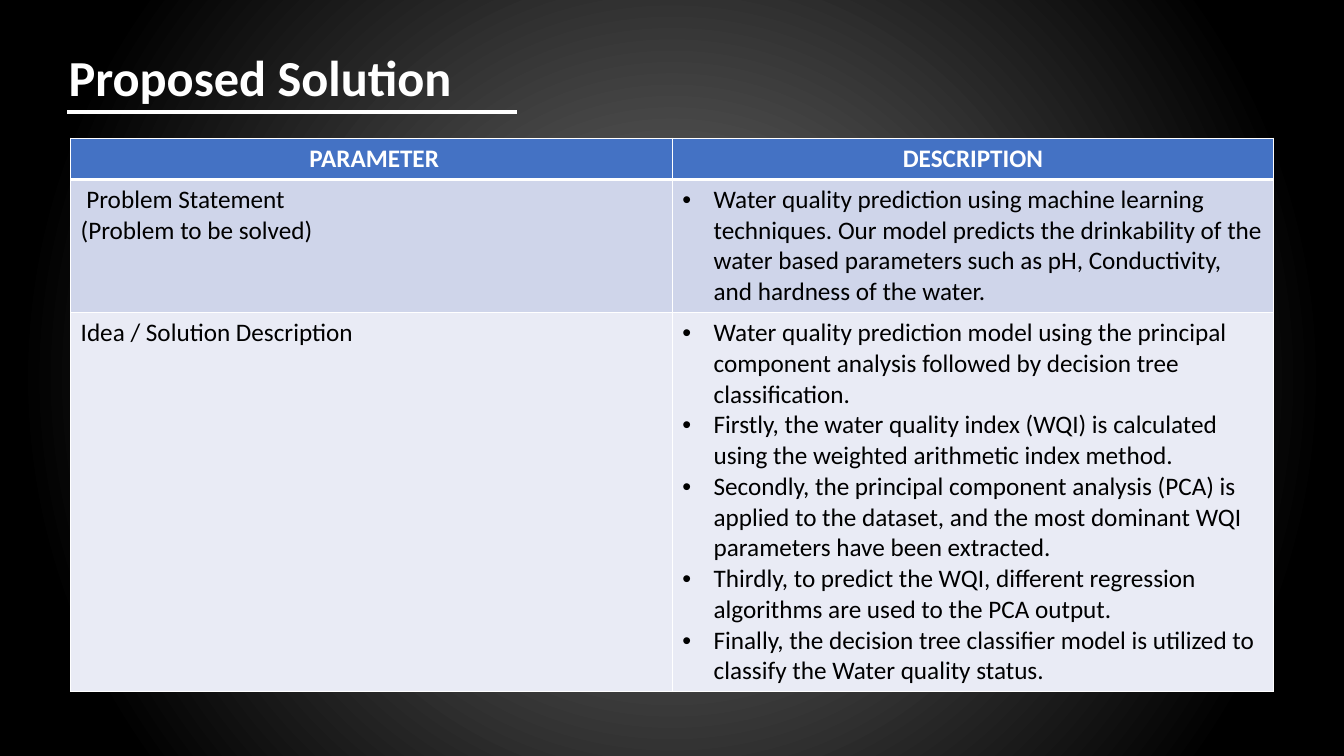
from lxml import etree
from pptx import Presentation
from pptx.dml.color import RGBColor
from pptx.enum.shapes import MSO_CONNECTOR
from pptx.enum.text import MSO_AUTO_SIZE, PP_ALIGN
from pptx.oxml import parse_xml
from pptx.oxml.ns import nsdecls, qn
from pptx.util import Cm, Pt

LINE = MSO_CONNECTOR.STRAIGHT
CENTER = PP_ALIGN.CENTER
LEFT = PP_ALIGN.LEFT
GROW = MSO_AUTO_SIZE.SHAPE_TO_FIT_TEXT
WHITE = "FFFFFF"
BLACK = "000000"


def color(code):
    return RGBColor.from_string(code)


def style(para, size, code, bold):
    font = para.font
    font.name = "Calibri"
    font.size = Pt(size)
    font.bold = bold
    font.color.rgb = color(code)


deck = Presentation()
deck.slide_width = Cm(33.87)
deck.slide_height = Cm(19.05)
slide = deck.slides.add_slide(deck.slide_layouts[6])

back = parse_xml(
    f'<p:bg {nsdecls("p", "a")}><p:bgPr><a:gradFill rotWithShape="1"><a:gsLst>'
    '<a:gs pos="19000"><a:srgbClr val="595959"/></a:gs>'
    '<a:gs pos="85000"><a:srgbClr val="000000"/></a:gs></a:gsLst>'
    '<a:path path="circle"><a:fillToRect l="50000" t="50000" r="50000" b="50000"/></a:path>'
    '</a:gradFill><a:effectLst/></p:bgPr></p:bg>'
)
slide.element.cSld.insert(0, back)

rows = [
    ([" PARAMETER"], ["DESCRIPTION"]),
    (
        [" Problem Statement", "(Problem to be solved)"],
        ["Water quality prediction using machine learning techniques. Our model predicts the drinkability of the water based parameters such as pH, Conductivity, and hardness of the water."],
    ),
    (
        ["Idea / Solution Description"],
        [
            "Water quality prediction model using the principal component analysis followed by decision tree classification.",
            "Firstly, the water quality index (WQI) is calculated using the weighted arithmetic index method.",
            "Secondly, the principal component analysis (PCA) is applied to the dataset, and the most dominant WQI parameters have been extracted.",
            "Thirdly, to predict the WQI, different regression algorithms are used to the PCA output.",
            "Finally, the decision tree classifier model is utilized to classify the Water quality status.",
        ],
    ),
]
fills = ["4472C4", "CFD5EA", "E9EBF5"]
heights = [1.04, 3.33, 9.5]

frame = slide.shapes.add_table(3, 2, Cm(1.78), Cm(3.48), Cm(30.32), Cm(sum(heights)))
table = frame.table
for col in table.columns:
    col.width = Cm(15.16)

for r, row in enumerate(rows):
    table.rows[r].height = Cm(heights[r])
    head = r == 0
    for c, lines in enumerate(row):
        cell = table.cell(r, c)
        cell.fill.solid()
        cell.fill.fore_color.rgb = color(fills[r])
        for i, side in enumerate(["L", "R", "T", "B"]):
            thick = (head and side == "B") or (r == 1 and side == "T")
            edge = parse_xml(
                f'<a:ln{side} {nsdecls("a")} w="{Pt(3 if thick else 1)}"><a:solidFill>'
                f'<a:srgbClr val="{WHITE}"/></a:solidFill></a:ln{side}>'
            )
            cell._tc.get_or_add_tcPr().insert(i, edge)
        cell.text = "\n".join(lines)
        for para in cell.text_frame.paragraphs:
            para.alignment = CENTER if head else LEFT
            if c == 1 and not head:
                props = para._p.get_or_add_pPr()
                props.set("marL", str(Cm(0.79)))
                props.set("indent", str(-Cm(0.79)))
                etree.SubElement(props, qn("a:buFont")).set("typeface", "Arial")
                etree.SubElement(props, qn("a:buChar")).set("char", "•")
            style(para, 18, WHITE if head else BLACK, head)

title = slide.shapes.add_textbox(Cm(1.48), Cm(1.04), Cm(15.04), Cm(1.8))
title.text_frame.word_wrap = True
title.text_frame.auto_size = GROW
title.text_frame.text = "Proposed Solution"
style(title.text_frame.paragraphs[0], 36, WHITE, True)

rule = slide.shapes.add_connector(LINE, Cm(1.7), Cm(2.82), Cm(13.03), Cm(2.82))
rule.line.color.rgb = color(WHITE)
rule.line.width = Pt(2.5)
etree.SubElement(rule._element.spPr, qn("a:effectLst"))

deck.save("out.pptx")
